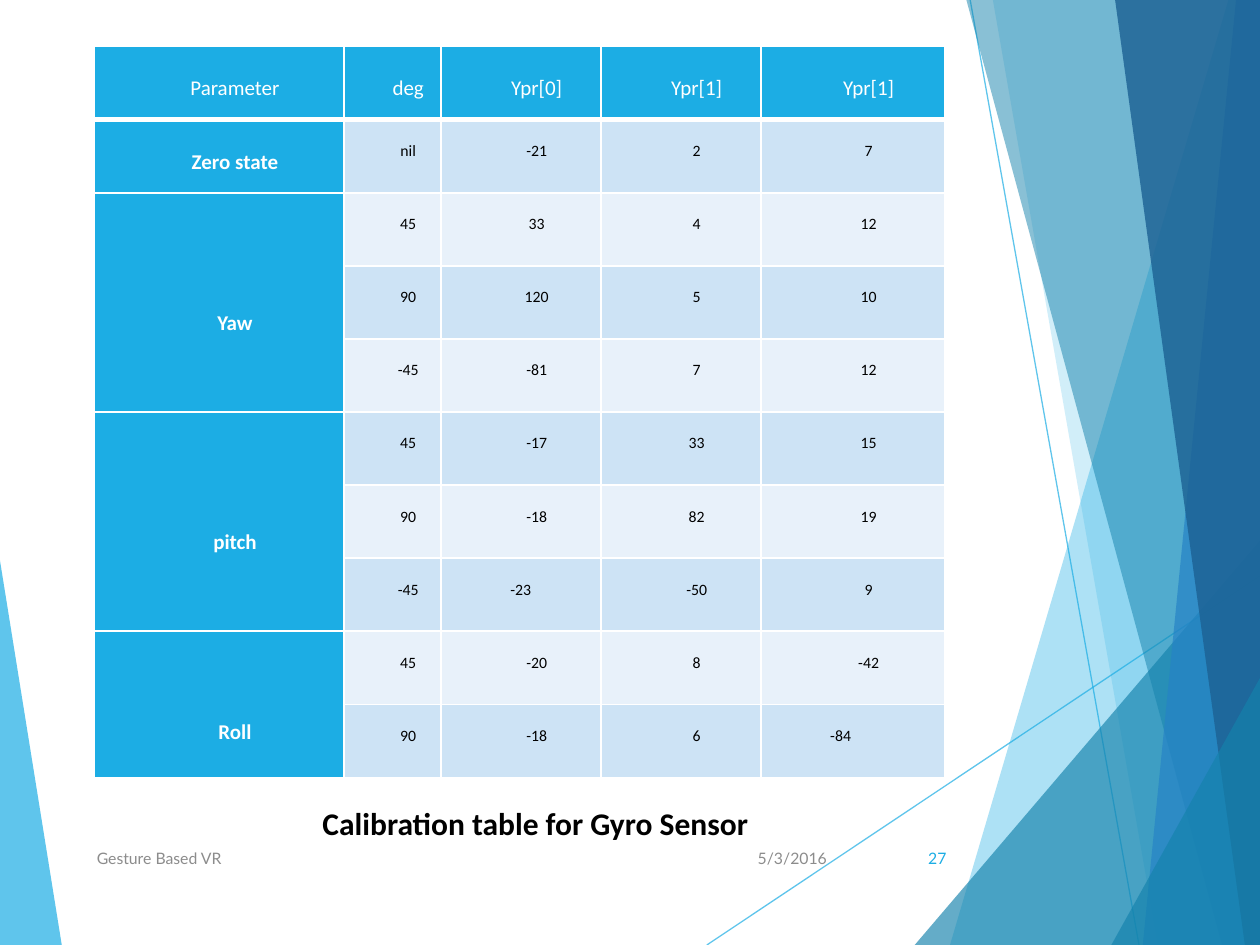
from dataclasses import dataclass
from typing import NamedTuple

from lxml import etree
from pptx import Presentation
from pptx import util as u
from pptx.dml.color import RGBColor
from pptx.enum import shapes, text
from pptx.oxml.ns import qn


@dataclass(frozen=True)
class Theme:
    sky: str = "1CADE4"
    teal: str = "1482AC"
    blue: str = "2683C6"
    navy: str = "1D6294"
    band_dark: str = "CDE3F5"
    band_light: str = "E8F1FA"
    white: str = "FFFFFF"
    black: str = "000000"
    grey: str = "8C8C8C"
    table_font: str = "Calibri"
    footer_font: str = "Lato"
    caption_size: float = 18
    head_size: float = 12
    small_size: float = 9


THEME = Theme()


class Facet(NamedTuple):
    points: list[tuple[float, float]]
    color: str
    opacity: int


class Ray(NamedTuple):
    start: tuple[float, float]
    end: tuple[float, float]


class Label(NamedTuple):
    words: str
    box: tuple[float, float, float, float]
    align: text.PP_ALIGN
    font: str
    size: float
    color: str
    bold: bool = False


class Group(NamedTuple):
    name: str
    lines_above: int
    readings: list[tuple[str, ...]]


LEFT, CENTER, RIGHT = text.PP_ALIGN.LEFT, text.PP_ALIGN.CENTER, text.PP_ALIGN.RIGHT

LEFT_FACET = Facet([(0, 4.45), (0.49, 7.5), (0, 7.5)], THEME.sky, 70)
RAYS = [Ray((5.61, 7.5), (10, 4.57)), Ray((7.7, 0), (9.04, 7.5))]
RIGHT_FACETS = [
    Facet([(9.75, 0), (7.54, 7.5), (10, 7.5), (10, 0)], THEME.sky, 36),
    Facet([(7.88, 0), (9.19, 7.5), (10, 7.5), (10, 0)], THEME.sky, 20),
    Facet([(7.26, 7.5), (10, 4.29), (10, 7.5)], THEME.teal, 66),
    Facet([(7.67, 0), (9.7, 7.5), (10, 7.5), (10, 0)], THEME.teal, 50),
    Facet([(9.81, 0), (9.07, 7.5), (10, 7.5), (10, 0)], THEME.blue, 70),
    Facet([(8.85, 0), (9.88, 7.5), (10, 7.5), (10, 0)], THEME.navy, 82),
    Facet([(8.82, 7.5), (10, 5.38), (10, 7.5)], THEME.teal, 66),
]

HEADINGS = ["Parameter", "deg", "Ypr[0]", "Ypr[1]", "Ypr[1]"]
GROUPS = [
    Group("Zero state", 1, [("nil", "-21", "2", "7")]),
    Group("Yaw", 4, [("45", "33", "4", "12"), ("90", "120", "5", "10"), ("-45", "-81", "7", "12")]),
    Group("pitch", 4, [("45", "-17", "33", "15"), ("90", "-18", "82", "19"), ("-45", "-23", "-50", "9")]),
    Group("Roll", 3, [("45", "-20", "8", "-42"), ("90", "-18", "6", "-84")]),
]
COLUMN_WIDTHS = [1.98, 0.77, 1.27, 1.27, 1.46]
ROW_HEIGHT = 0.58
LEFT_ALIGNED = {(7, 2), (9, 4)}  # readings that stand left of their column's centre

LABELS = [
    Label("Calibration table for Gyro Sensor", (1.21, 6.33, 6.08, 0.4), CENTER,
          THEME.table_font, THEME.caption_size, THEME.black, True),
    Label("5/3/2016", (5.91, 6.61, 0.75, 0.4), RIGHT, THEME.footer_font, THEME.small_size, THEME.grey),
    Label("Gesture Based VR", (0.67, 6.61, 5.06, 0.4), LEFT, THEME.footer_font, THEME.small_size, THEME.grey),
    Label("27", (7.05, 6.61, 0.56, 0.4), RIGHT, THEME.footer_font, THEME.small_size, THEME.sky),
]


def set_opacity(element, percent: int) -> None:
    for color in element.iter(qn("a:srgbClr")):
        etree.SubElement(color, qn("a:alpha")).set("val", str(percent * 1000))


def add_run(paragraph, words: str, font: str, size: float, color: str, bold: bool) -> None:
    run = paragraph.add_run()
    run.text = words
    run.font.name, run.font.size, run.font.bold = font, u.Pt(size), bold
    run.font.color.rgb = RGBColor.from_string(color)


def draw_facet(slide, facet: Facet) -> None:
    start, *rest = [(u.Inches(x), u.Inches(y)) for x, y in facet.points]
    builder = slide.shapes.build_freeform(*start)
    builder.add_line_segments(rest, close=True)
    shape = builder.convert_to_shape()
    shape.shadow.inherit = False
    shape.fill.solid()
    shape.fill.fore_color.rgb = RGBColor.from_string(facet.color)
    shape.line.fill.background()
    set_opacity(shape.fill._xPr, facet.opacity)


def draw_ray(slide, ray: Ray) -> None:
    ends = [u.Inches(value) for value in (*ray.start, *ray.end)]
    line = slide.shapes.add_connector(shapes.MSO_CONNECTOR.STRAIGHT, *ends)
    line.line.color.rgb = RGBColor.from_string(THEME.sky)
    line.line.width = u.Pt(0.75)
    properties = line._element.spPr
    set_opacity(properties, 70)
    etree.SubElement(properties, qn("a:effectLst"))


def draw_label(slide, label: Label) -> None:
    frame = slide.shapes.add_textbox(*map(u.Inches, label.box)).text_frame
    frame.word_wrap = True
    if label.font == THEME.footer_font:
        frame.vertical_anchor = text.MSO_ANCHOR.MIDDLE
    else:
        frame.auto_size = text.MSO_AUTO_SIZE.SHAPE_TO_FIT_TEXT
    paragraph = frame.paragraphs[0]
    paragraph.alignment = label.align
    add_run(paragraph, label.words, label.font, label.size, label.color, label.bold)


def set_borders(cell, bottom: float = 1) -> None:
    properties = cell._tc.get_or_add_tcPr()
    for place, (side, width) in enumerate({"L": 1, "R": 1, "T": 1, "B": bottom}.items()):
        border = etree.Element(qn(f"a:ln{side}"), w=str(u.Pt(width)))
        fill = etree.SubElement(border, qn("a:solidFill"))
        etree.SubElement(fill, qn("a:srgbClr")).set("val", THEME.white)
        properties.insert(place, border)


def fill_cell(cell, words: str, fill: str, color: str, size: float, lines_above: int = 1,
              bold: bool = False, align: text.PP_ALIGN = CENTER) -> None:
    cell.fill.solid()
    cell.fill.fore_color.rgb = RGBColor.from_string(fill)
    cell.margin_left = cell.margin_right = u.Inches(0.05)
    cell.margin_top = u.Pt(lines_above * size * 1.4)  # whole lines of 1.15 spacing
    cell.margin_bottom = 0
    paragraph = cell.text_frame.paragraphs[0]
    paragraph.alignment = align
    indent = u.Inches(0.5 if align == LEFT else 0.25)
    paragraph._p.get_or_add_pPr().set("indent", str(indent))
    add_run(paragraph, words, THEME.table_font, size, color, bold)


def draw_table(slide) -> None:
    row_count = 1 + sum(len(group.readings) for group in GROUPS)
    table = slide.shapes.add_table(
        row_count, len(HEADINGS), u.Inches(0.75), u.Inches(0.37),
        u.Inches(sum(COLUMN_WIDTHS)), u.Inches(ROW_HEIGHT * row_count)).table
    for column, width in zip(table.columns, COLUMN_WIDTHS):
        column.width = u.Inches(width)
    for row in table.rows:
        row.height = u.Inches(ROW_HEIGHT)

    # Heading row
    for col, heading in enumerate(HEADINGS):
        fill_cell(table.cell(0, col), heading, THEME.sky, THEME.white, THEME.head_size)

    # Merged group names with their readings
    top = 1
    for group in GROUPS:
        name_cell = table.cell(top, 0)
        if len(group.readings) > 1:
            name_cell.merge(table.cell(top + len(group.readings) - 1, 0))
        fill_cell(name_cell, group.name, THEME.sky, THEME.white, THEME.head_size, group.lines_above, True)
        for row, reading in enumerate(group.readings, top):
            band = THEME.band_dark if row % 2 else THEME.band_light
            for col, value in enumerate(reading, 1):
                align = LEFT if (row, col) in LEFT_ALIGNED else CENTER
                fill_cell(table.cell(row, col), value, band, THEME.black, THEME.small_size, align=align)
        top += len(group.readings)

    for row in range(row_count):
        for col in range(len(HEADINGS)):
            set_borders(table.cell(row, col), bottom=1 if row else 3)


def main() -> None:
    deck = Presentation()
    deck.slide_width, deck.slide_height = u.Inches(10), u.Inches(7.5)
    slide = deck.slides.add_slide(deck.slide_layouts[6])

    # Background facets and rays
    draw_facet(slide, LEFT_FACET)
    for ray in RAYS:
        draw_ray(slide, ray)
    for facet in RIGHT_FACETS:
        draw_facet(slide, facet)

    # Calibration table, caption and footer
    draw_table(slide)
    for label in LABELS:
        draw_label(slide, label)
    deck.save("out.pptx")


if __name__ == "__main__":
    main()
